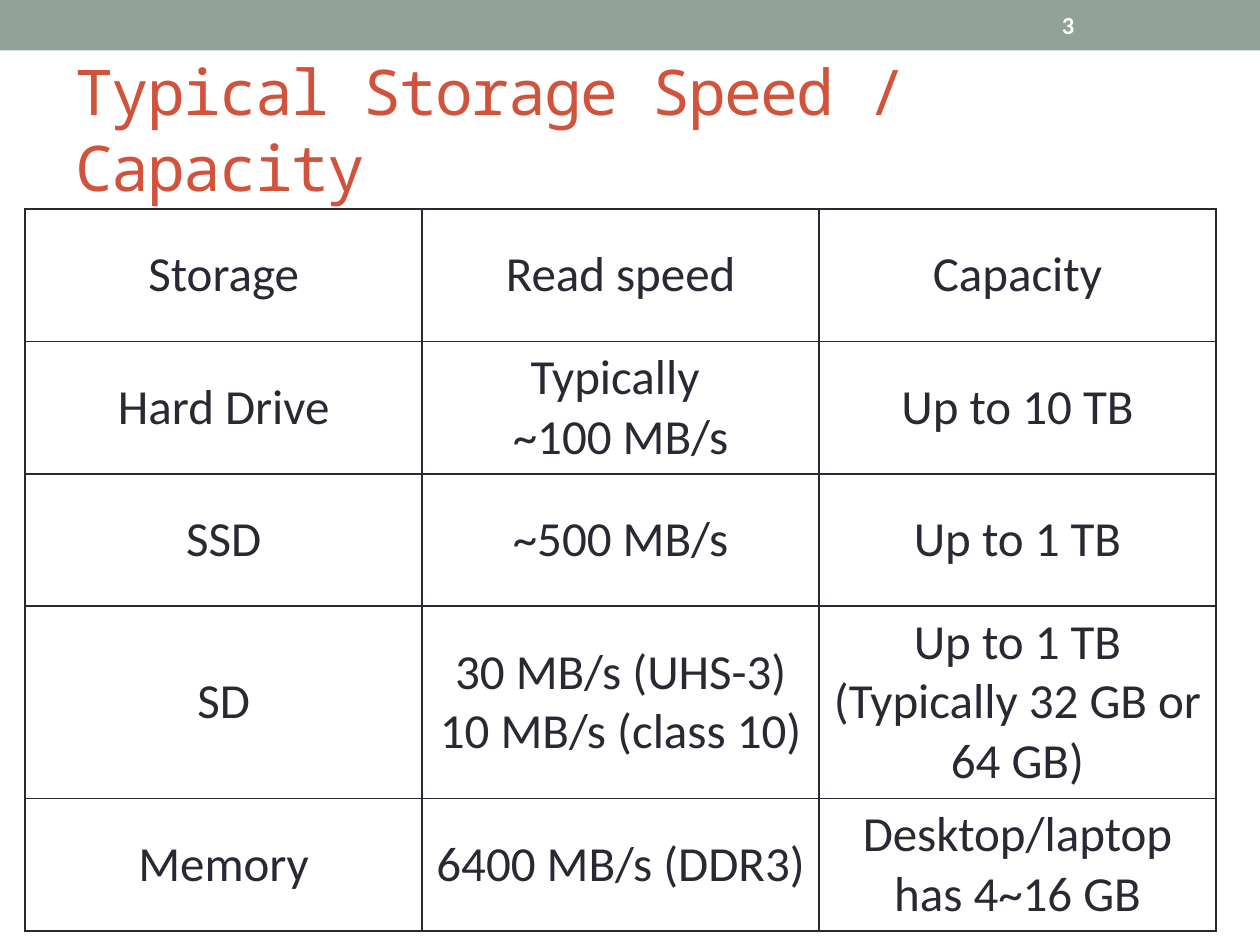
from dataclasses import dataclass

from lxml.etree import SubElement
from pptx import Presentation
from pptx.dml.color import RGBColor
from pptx.enum.shapes import MSO_SHAPE
from pptx.enum.text import MSO_ANCHOR, MSO_AUTO_SIZE, PP_ALIGN
from pptx.oxml.ns import qn
from pptx.util import Inches, Pt


@dataclass(frozen=True)
class Theme:
    band: str = "93A299"
    accent: str = "D2533C"
    ink: str = "292934"
    paper: str = "FFFFFF"
    title_font: str = "Noto Sans Mono"
    body_font: str = "Calibri"
    title_size: int = 36
    table_size: int = 28
    number_size: int = 14
    border: int = 1


def write_text(frame, text, *, font, size, color, bold=False,
               align=PP_ALIGN.LEFT, spacing=None):
    """Fill a frame; \\n starts a paragraph and \\v breaks a line."""
    frame.text = text
    frame.word_wrap = True
    for para in frame.paragraphs:
        para.alignment = align
        for span in para.runs:
            span.font.name = font
            span.font.size = Pt(size)
            span.font.bold = bold
            span.font.color.rgb = RGBColor.from_string(color)
            if spacing is not None:
                span.font._element.set("spc", str(spacing * 100))


def draw_borders(cell, color, width):
    properties = cell._tc.get_or_add_tcPr()
    for index, side in enumerate(("lnL", "lnR", "lnT", "lnB")):
        line = properties.makeelement(qn(f"a:{side}"), {"w": str(Pt(width))})
        fill = SubElement(line, qn("a:solidFill"))
        SubElement(fill, qn("a:srgbClr"), val=color)
        properties.insert(index, line)


class SlideBuilder:
    def __init__(self, page, theme):
        self.page = page
        self.theme = theme

    def band(self, left, top, width, height):
        box = self.page.shapes.add_shape(
            MSO_SHAPE.RECTANGLE, Inches(left), Inches(top), Inches(width), Inches(height))
        box.shadow.inherit = False
        box.fill.solid()
        box.fill.fore_color.rgb = RGBColor.from_string(self.theme.band)
        box.line.fill.background()

    def title(self, text, left, top, width, height):
        box = self.page.shapes.title
        box.left, box.top = Inches(left), Inches(top)
        box.width, box.height = Inches(width), Inches(height)
        write_text(box.text_frame, text, font=self.theme.title_font,
                   size=self.theme.title_size, color=self.theme.accent, spacing=-1)
        box.text_frame.vertical_anchor = MSO_ANCHOR.MIDDLE
        box.text_frame.auto_size = MSO_AUTO_SIZE.NONE

    def table(self, rows, left, top, column_width, row_height):
        table = self.page.shapes.add_table(
            len(rows), len(rows[0]), Inches(left), Inches(top),
            Inches(column_width * len(rows[0])), Inches(row_height * len(rows))).table
        table.first_row = table.horz_banding = False
        for column in table.columns:
            column.width = Inches(column_width)
        for row, texts in zip(table.rows, rows):
            row.height = Inches(row_height)
            for cell, text in zip(row.cells, texts):
                write_text(cell.text_frame, text, font=self.theme.body_font,
                           size=self.theme.table_size, color=self.theme.ink,
                           align=PP_ALIGN.CENTER)
                cell.vertical_anchor = MSO_ANCHOR.MIDDLE
                cell.fill.background()
                draw_borders(cell, self.theme.ink, self.theme.border)

    def page_number(self, text, left, top, width, height):
        box = self.page.shapes.add_textbox(
            Inches(left), Inches(top), Inches(width), Inches(height))
        write_text(box.text_frame, text, font=self.theme.body_font,
                   size=self.theme.number_size, color=self.theme.paper, bold=True)
        box.text_frame.vertical_anchor = MSO_ANCHOR.MIDDLE


STORAGE_ROWS = [
    ("Storage", "Read speed", "Capacity"),
    ("Hard Drive", "Typically \v~100 MB/s", "Up to 10 TB"),
    ("SSD", "~500 MB/s", "Up to 1 TB"),
    ("SD", "30 MB/s (UHS-3)\v10 MB/s (class 10)",
     "Up to 1 TB\n(Typically 32 GB or 64 GB)"),
    ("Memory", "6400 MB/s (DDR3)", "Desktop/laptop has 4~16 GB"),
]


def main():
    deck = Presentation()
    deck.slide_width, deck.slide_height = Inches(10), Inches(7.5)
    page = deck.slides.add_slide(deck.slide_layouts[5])  # Title Only
    builder = SlideBuilder(page, Theme())

    # Header band and title
    builder.band(0, 0, 10, 0.4)
    builder.title("Typical Storage Speed / Capacity", 0.5, 0.48, 9, 1.08)

    # Storage comparison
    builder.table(STORAGE_ROWS, 0.2, 1.66, column_width=3.15, row_height=1.05)

    # Page number in the band
    builder.page_number("3", 8.33, 0.02, 1.17, 0.36)

    deck.save("out.pptx")


if __name__ == "__main__":
    main()
